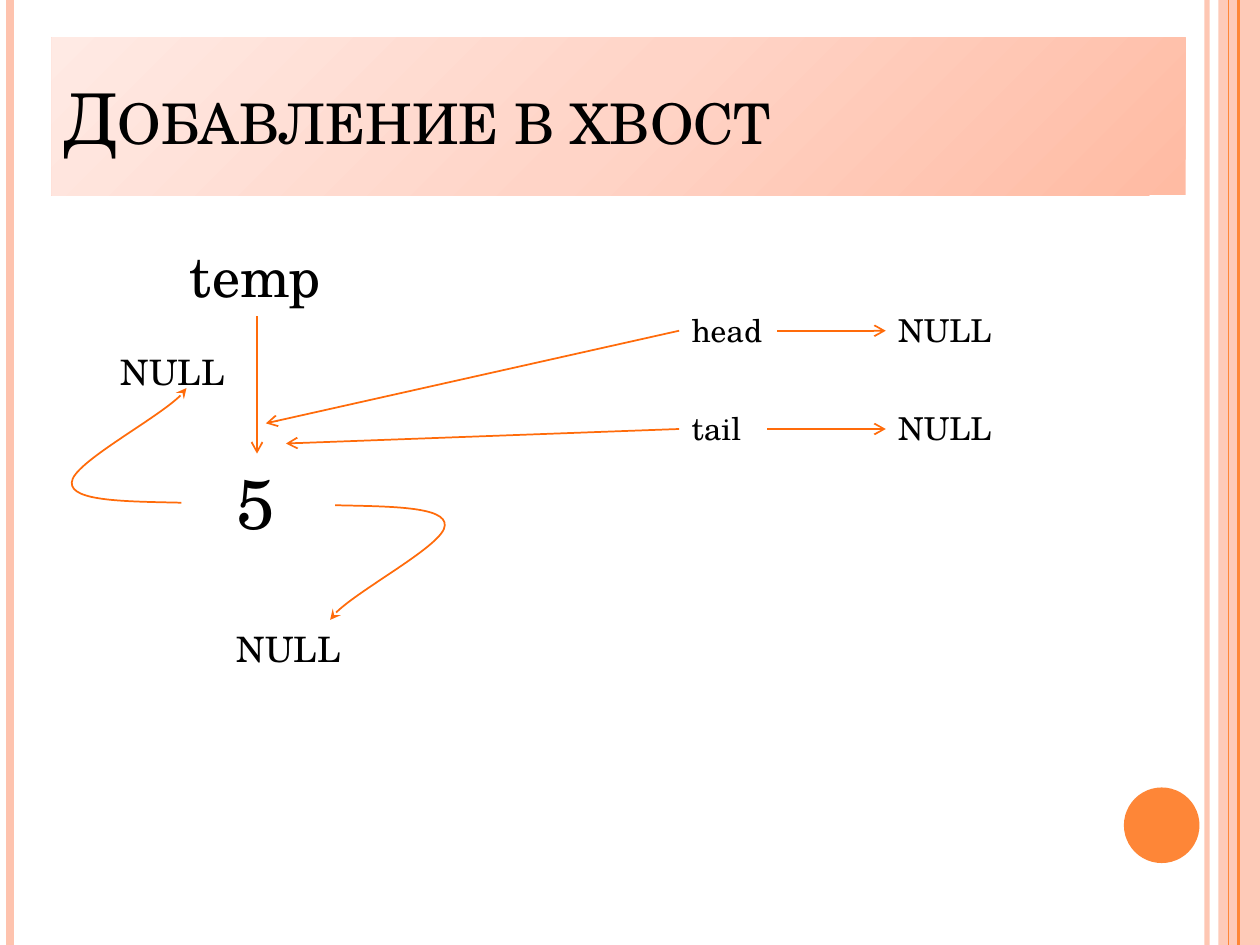
from copy import deepcopy

from pptx import Presentation
from pptx.dml.color import RGBColor
from pptx.enum.shapes import MSO_CONNECTOR, MSO_SHAPE
from pptx.enum.text import MSO_ANCHOR, MSO_AUTO_SIZE, PP_ALIGN
from pptx.oxml.ns import qn
from pptx.util import Inches, Pt

STRAIGHT = MSO_CONNECTOR.STRAIGHT
RECTANGLE, OVAL = MSO_SHAPE.RECTANGLE, MSO_SHAPE.OVAL
MIDDLE, LEFT = MSO_ANCHOR.MIDDLE, PP_ALIGN.LEFT
FIXED, GROW = MSO_AUTO_SIZE.NONE, MSO_AUTO_SIZE.SHAPE_TO_FIT_TEXT

WIDTH, HEIGHT = 10, 7.5
FONT = "TeX Gyre Schola"
COLORS = {"text": "000000", "arrow": "FF6B0A", "pale": "FEC3AE", "accent": "FE8637"}

HEADING = "Добавление в хвост"
HEADING_BOX = (0.41, 0.3, 9, 1.25)
HEADING_STOPS = [(0, "FFBBA3"), (0.5, "FFD4C7"), (1, "FFEAE4")]

POINTER_X, VALUE_X = 5.39, 7.03
HEAD_Y, TAIL_Y = 2.42, 3.2
MID = 0.205
NODE_X, NODE_Y = 2.04, 3.6

LABELS = [
    ("temp", (1.41, 1.87, 1.26, 0.64), 32, False),
    ("head", (POINTER_X, HEAD_Y, 0.78, 0.4), 18, True),
    ("NULL", (VALUE_X, HEAD_Y, 1.17, 0.4), 18, True),
    ("tail", (POINTER_X, TAIL_Y, 0.7, 0.4), 18, True),
    ("NULL", (VALUE_X, TAIL_Y, 1.09, 0.4), 18, True),
    ("5", (1.78, NODE_Y, 0.51, 0.77), 40, False),
    ("NULL", (0.86, 2.73, 1.33, 0.44), 20, True),
    ("NULL", (1.78, 4.93, 1.33, 0.44), 20, True),
]
ARROWS = [
    ((6.17, HEAD_Y + MID), (VALUE_X, HEAD_Y + MID)),
    ((6.09, TAIL_Y + MID), (VALUE_X, TAIL_Y + MID)),
    ((POINTER_X, HEAD_Y + MID), (2.11, 3.36)),
    ((POINTER_X, TAIL_Y + MID), (2.27, 3.52)),
    ((NODE_X, 2.51), (NODE_X, NODE_Y)),
]
NEXT_LINK = [(2.66, 4.01), (3.1, 4.02), (3.54, 4.02), (3.53, 4.17),
             (3.53, 4.32), (2.71, 4.75), (2.62, 4.92)]
PREVIOUS_LINK = [(4.1 - x, 8 - y) for x, y in NEXT_LINK]

STRIPES = [
    (9.58, "pale", 3, 93),
    (0.08, "pale", 4.5, 100),
    (9.83, "accent", 1.5, 100),
    (9.75, "accent", 0.75, 100),
]
BAND = (9.67, 0, 0.33, HEIGHT)
DISC = (8.92, 6.25, 0.6, 0.6)


def inches(values):
    return [Inches(value) for value in values]


def rgb(name):
    return RGBColor.from_string(COLORS[name])


def set_alpha(element, percent):
    color = element.find(".//" + qn("a:srgbClr"))
    alpha = color.makeelement(qn("a:alpha"), {"val": str(percent * 1000)})
    color.append(alpha)


def add_line(slide, start, end, color, points):
    line = slide.shapes.add_connector(STRAIGHT, *inches(start + end))
    line.line.color.rgb = rgb(color)
    line.line.width = Pt(points)
    properties = line._element.spPr
    properties.append(properties.makeelement(qn("a:effectLst"), {}))
    return line


def add_arrowhead(shape, kind):
    outline = shape.line._get_or_add_ln()
    outline.append(outline.makeelement(qn("a:tailEnd"), {"type": kind}))


def add_decoration(slide, kind, box, color):
    shape = slide.shapes.add_shape(kind, *inches(box))
    shape.shadow.inherit = False
    shape.fill.solid()
    shape.fill.fore_color.rgb = rgb(color)
    shape.line.fill.background()
    return shape


def write(paragraph, text, size):
    run = paragraph.add_run()
    run.text = text
    run.font.name = FONT
    run.font.size = Pt(size)
    run.font.color.rgb = rgb("text")
    return run


def add_heading(slide):
    heading = slide.shapes.title
    heading.left, heading.top, heading.width, heading.height = inches(HEADING_BOX)
    heading.fill.gradient()
    stop_list = heading._element.spPr.find(".//" + qn("a:gsLst"))
    stop_list.append(deepcopy(stop_list[0]))
    for stop, (position, color) in zip(heading.fill.gradient_stops, HEADING_STOPS):
        stop.position = position
        stop.color.rgb = RGBColor.from_string(color)
    heading.fill.gradient_angle = 135
    frame = heading.text_frame
    frame.auto_size = FIXED
    frame.vertical_anchor = MIDDLE
    frame.paragraphs[0].alignment = LEFT
    run = write(frame.paragraphs[0], HEADING, 40)
    run.font._element.set("cap", "small")


def add_label(slide, text, box, size, wrap):
    frame = slide.shapes.add_textbox(*inches(box)).text_frame
    frame.word_wrap = wrap
    frame.auto_size = GROW
    write(frame.paragraphs[0], text, size)


def add_curve(slide, points):
    start, *controls = [inches(point) for point in points]
    builder = slide.shapes.build_freeform(*start)
    builder.add_line_segments(controls, close=False)
    curve = builder.convert_to_shape()
    outline = curve._element.spPr.find(".//" + qn("a:path"))
    segments = outline.findall(qn("a:lnTo"))
    for first in range(0, len(segments), 3):
        bezier = outline.makeelement(qn("a:cubicBezTo"), {})
        outline.append(bezier)
        for segment in segments[first:first + 3]:
            bezier.append(segment[0])
            outline.remove(segment)
    curve.shadow.inherit = False
    curve.fill.background()
    curve.line.color.rgb = rgb("arrow")
    curve.line.width = Pt(1)
    add_arrowhead(curve, "stealth")


def main():
    deck = Presentation()
    deck.slide_width, deck.slide_height = inches((WIDTH, HEIGHT))
    slide = deck.slides.add_slide(deck.slide_layouts[5])
    add_heading(slide)
    set_alpha(add_decoration(slide, RECTANGLE, BAND, "pale")._element.spPr, 87)
    add_decoration(slide, OVAL, DISC, "accent")
    for x, color, points, opacity in STRIPES:
        stripe = add_line(slide, (x, 0), (x, HEIGHT), color, points)
        if opacity < 100:
            set_alpha(stripe._element.spPr, opacity)
    for label in LABELS:
        add_label(slide, *label)
    for start, end in ARROWS:
        add_arrowhead(add_line(slide, start, end, "arrow", 1), "arrow")
    for link in (NEXT_LINK, PREVIOUS_LINK):
        add_curve(slide, link)
    deck.save("out.pptx")


if __name__ == "__main__":
    main()
